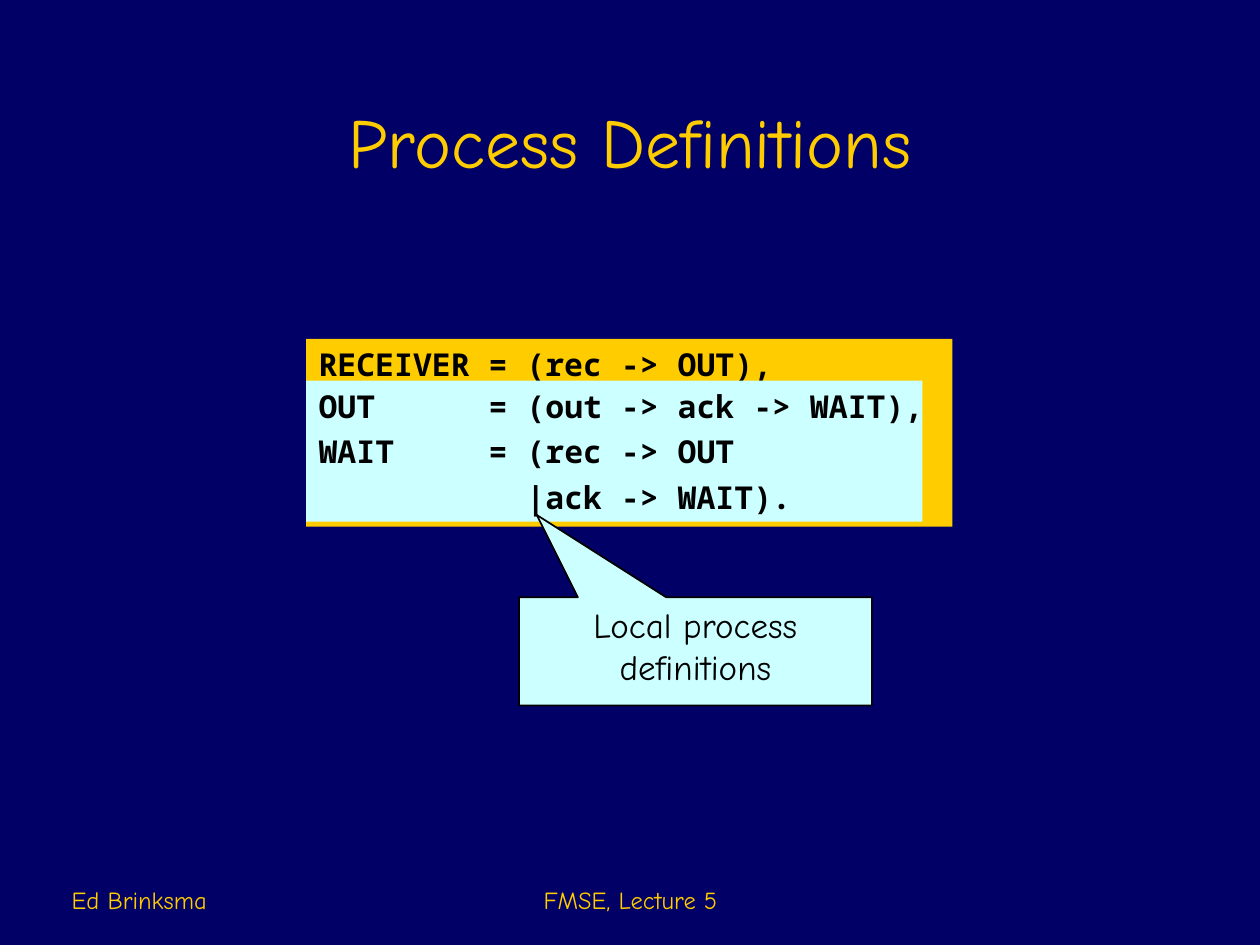
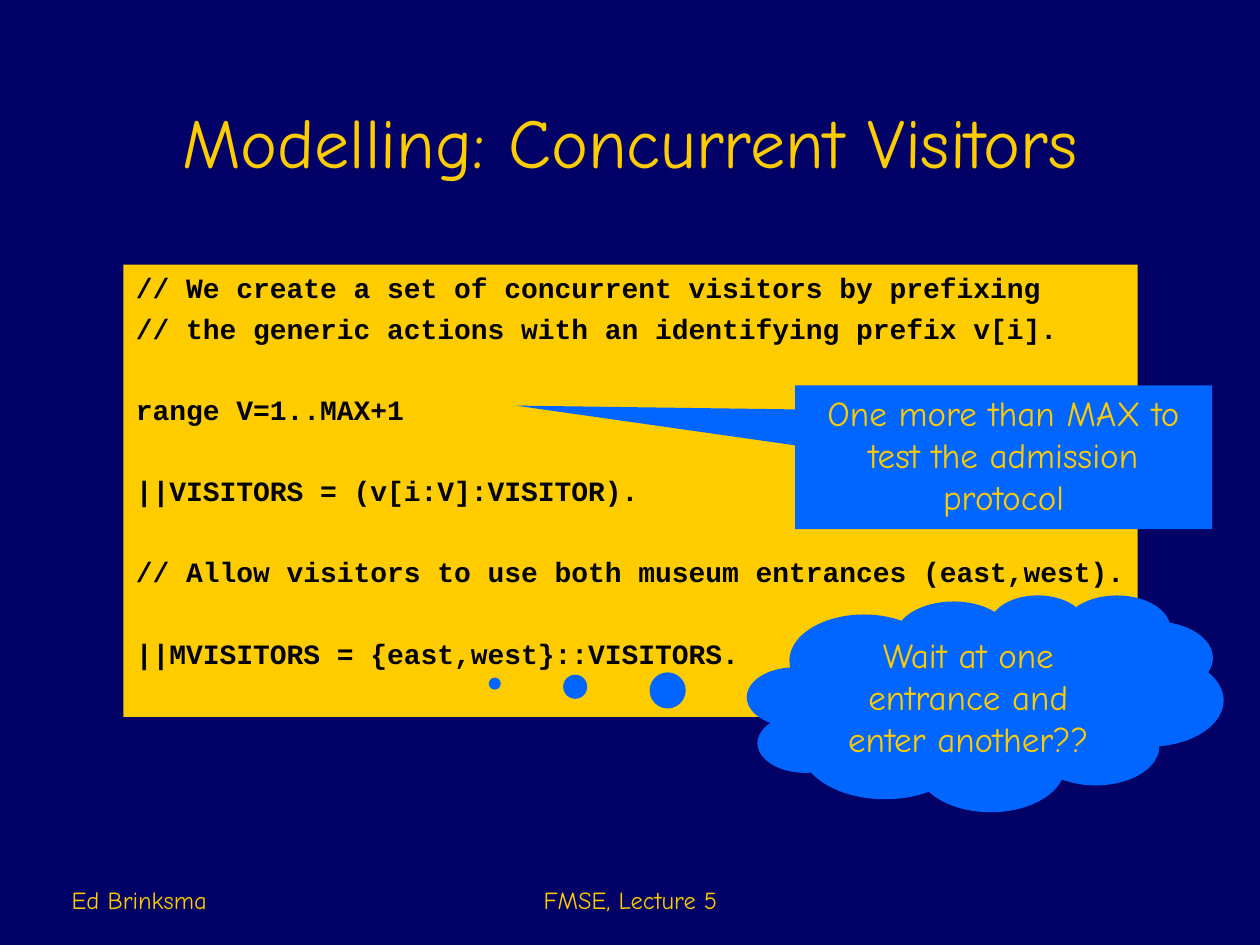
import dataclasses

import pptx
import pptx.dml.color
import pptx.enum.shapes
import pptx.enum.text
import pptx.util

SHAPES = pptx.enum.shapes.MSO_SHAPE
ALIGN = pptx.enum.text.PP_ALIGN
ANCHOR = pptx.enum.text.MSO_ANCHOR
COLUMNS, ROWS = 100, 75
CELL = pptx.util.Inches(0.1)


@dataclasses.dataclass(frozen=True)
class Theme:
    """Colours, fonts and type sizes of the lecture."""

    navy: str = "000066"
    gold: str = "FFCC00"
    ice: str = "CCFFFF"
    blue: str = "0066FF"
    black: str = "000000"
    hand: str = "Comic Neue"
    title: int = 40
    note: int = 20
    footer: int = 14
    leading: float = 1.2


THEME = Theme()


@dataclasses.dataclass(frozen=True)
class Box:
    """An area in grid columns and rows."""

    left: float
    top: float
    width: float
    height: float

    def inner(self, left, top, width, height):
        """Return a box offset from this one's corner."""
        return Box(self.left + left, self.top + top, width, height)

    def lengths(self):
        """Return left, top, width and height as slide lengths."""
        return [round(cells * CELL) for cells in dataclasses.astuple(self)]


def colour(value):
    """Turn a hexadecimal string into a colour."""
    return pptx.dml.color.RGBColor.from_string(value)


def write(shape, text, *, size, font=THEME.hand, ink=THEME.gold, bold=False,
          align=ALIGN.LEFT, anchor=ANCHOR.TOP, before=0, wrap=True):
    """Write lines into a shape, turning empty lines into paragraph spacing."""
    frame = shape.text_frame
    frame.auto_size = pptx.enum.text.MSO_AUTO_SIZE.NONE
    frame.word_wrap = wrap
    frame.vertical_anchor = anchor
    line_height = size * THEME.leading
    gap = 0
    paragraph = None
    for line in text.split("\n"):
        if not line:
            gap += line_height + before
            continue
        if paragraph is None:
            paragraph = frame.paragraphs[0]
            paragraph.space_before = pptx.util.Pt(0)
        else:
            paragraph = frame.add_paragraph()
            paragraph.space_before = pptx.util.Pt(before + gap)
        gap = 0
        paragraph.alignment = align
        paragraph.line_spacing = pptx.util.Pt(line_height)
        run = paragraph.add_run()
        run.text = line
        run.font.name = font
        run.font.size = pptx.util.Pt(size)
        run.font.bold = bold
        run.font.color.rgb = colour(ink)


def add_panel(slide, kind, box, fill, outline=None):
    """Add a flat filled shape with an optional outline."""
    shape = slide.shapes.add_shape(kind, *box.lengths())
    shape.shadow.inherit = False
    shape.fill.solid()
    shape.fill.fore_color.rgb = colour(fill)
    if outline:
        shape.line.color.rgb = colour(outline)
        shape.line.width = pptx.util.Pt(1)
    else:
        shape.line.fill.background()
    return shape


def add_code(slide, box, code, *, font, size, fill=THEME.gold, anchor=ANCHOR.TOP):
    """Add a panel of bold code."""
    panel = add_panel(slide, SHAPES.RECTANGLE, box, fill)
    write(panel, code, size=size, font=font, ink=THEME.black, bold=True,
          before=size / 4, anchor=anchor, wrap=False)


def add_callout(slide, box, text, tip, *, kind=SHAPES.RECTANGULAR_CALLOUT,
                fill=THEME.blue, ink=THEME.gold, outline=None):
    """Add a callout whose tip is given in shares of its box from the centre."""
    callout = add_panel(slide, kind, box, fill, outline)
    for index, share in enumerate(tip):
        callout.adjustments[index] = share
    write(callout, text, size=THEME.note, ink=ink, align=ALIGN.CENTER)


def add_footer(slide, box):
    """Add the author and the lecture name along the footer band."""
    parts = (("Ed Brinksma", box.inner(0, 0, 20.8, box.height), ALIGN.LEFT),
             ("FMSE, Lecture 5", box.inner(29.5, 0, 31.7, box.height), ALIGN.CENTER))
    for text, area, align in parts:
        label = slide.shapes.add_textbox(*area.lengths())
        write(label, text, size=THEME.footer, align=align, anchor=ANCHOR.BOTTOM)


def add_slide(presentation, title):
    """Add a slide with the shared title and footer."""
    slide = presentation.slides.add_slide(presentation.slide_layouts[5])
    heading = slide.shapes.title
    heading.left, heading.top, heading.width, heading.height = Box(7.5, 2.5, 85, 12.5).lengths()
    write(heading, title, size=THEME.title, align=ALIGN.CENTER, anchor=ANCHOR.BOTTOM)
    add_footer(slide, Box(4.7, 68.1, 90.6, 5))
    return slide


def build_definitions(presentation, box):
    """Build the slide on process definitions."""
    slide = add_slide(presentation, "Process Definitions")
    receiver = "RECEIVER = (rec -> OUT),"
    local = """OUT      = (out -> ack -> WAIT),
WAIT     = (rec -> OUT
           |ack -> WAIT)."""
    style = {"font": "Noto Sans Mono", "size": 18}
    add_code(slide, box, f"{receiver}\n{local}", **style)
    add_code(slide, box.inner(0, 3.3, 48.9, 11.2), local, fill=THEME.ice,
             anchor=ANCHOR.MIDDLE, **style)
    add_callout(slide, box.inner(16.9, 20.5, 28, 8.6), "Local process definitions",
                (-0.45, -1.26), fill=THEME.ice, ink=THEME.black, outline=THEME.black)


def build_visitors(presentation, box):
    """Build the slide on concurrent visitors."""
    slide = add_slide(presentation, "Modelling: Concurrent Visitors")
    code = """// We create a set of concurrent visitors by prefixing
// the generic actions with an identifying prefix v[i].

range V=1..MAX+1

||VISITORS = (v[i:V]:VISITOR).

// Allow visitors to use both museum entrances (east,west).

||MVISITORS = {east,west}::VISITORS."""
    add_code(slide, box, code, font="Courier New", size=16)
    add_callout(slide, box.inner(53.3, 9.6, 33.1, 11.4),
                "One more than MAX to test the admission protocol", (-1.17, -0.36))
    add_callout(slide, box.inner(49.5, 26.2, 37.8, 17.2),
                "Wait at one entrance and enter another??", (-1.03, -0.09),
                kind=SHAPES.CLOUD_CALLOUT)


def main():
    """Build and save the presentation."""
    presentation = pptx.Presentation()
    presentation.slide_width = COLUMNS * CELL
    presentation.slide_height = ROWS * CELL
    background = presentation.slide_master.background.fill
    background.solid()
    background.fore_color.rgb = colour(THEME.navy)
    build_definitions(presentation, Box(24.3, 26.9, 51.3, 14.9))
    build_visitors(presentation, Box(9.8, 21, 80.5, 35.9))
    presentation.save("out.pptx")


if __name__ == "__main__":
    main()
